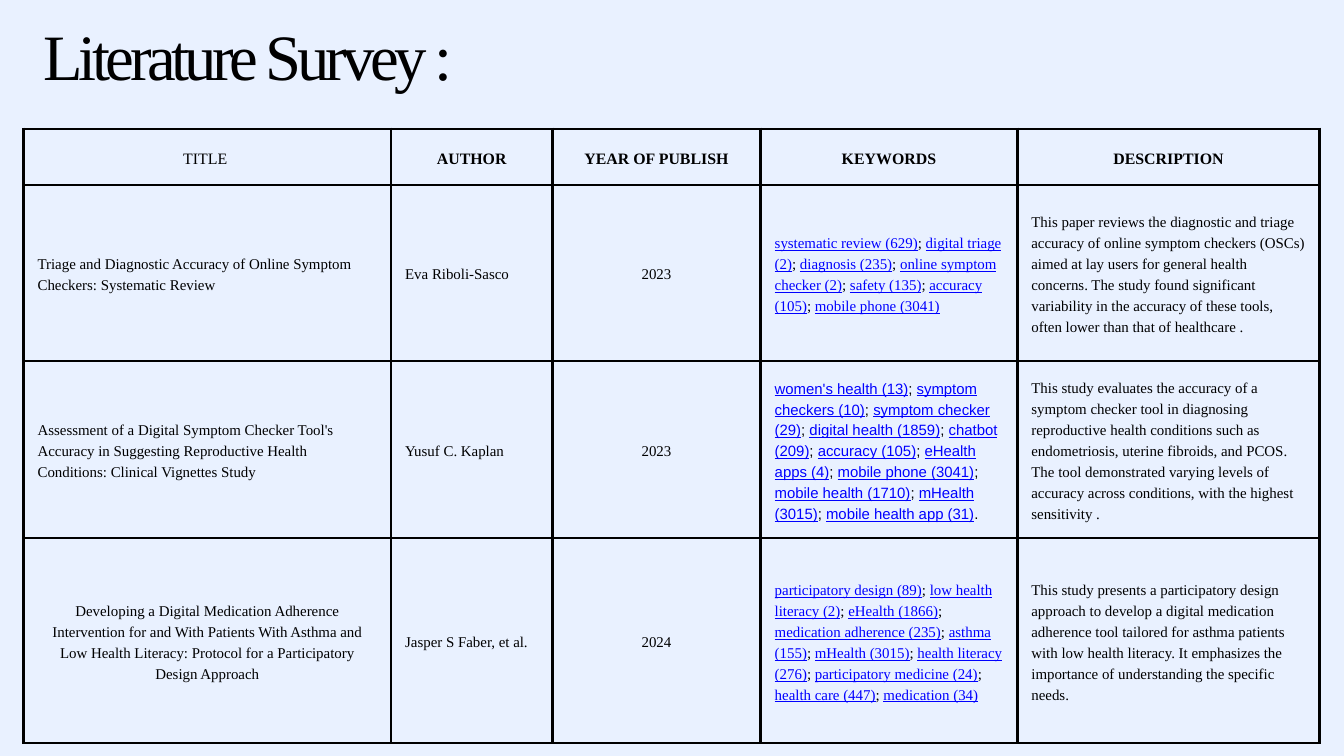
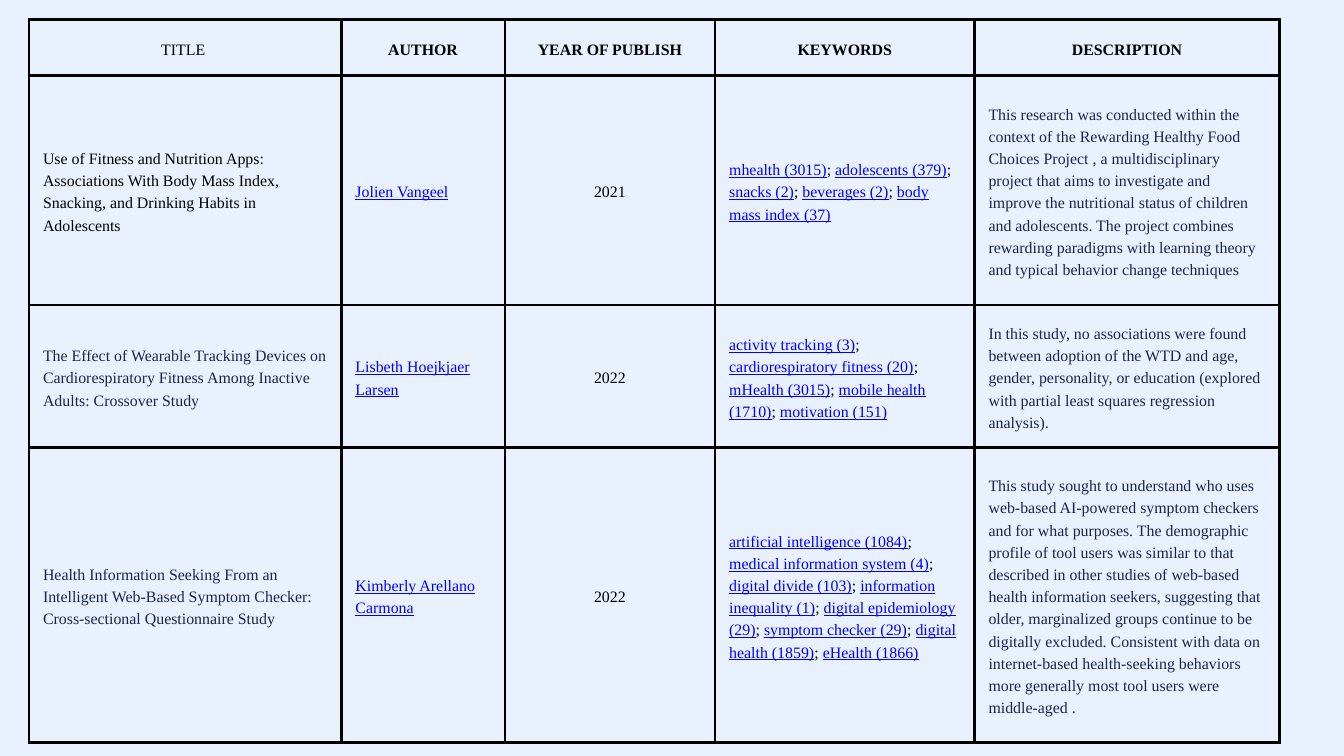
"""Builds two literature survey slides, each holding a ruled table of papers."""
from lxml.etree import SubElement
from pptx import Presentation
from pptx.dml.color import RGBColor
from pptx.enum.text import MSO_ANCHOR as Anchor, MSO_AUTO_SIZE as AutoSize, PP_ALIGN as Align
from pptx.oxml.ns import qn
from pptx.util import Pt

PALE_BLUE = RGBColor(0xE9, 0xF1, 0xFF)
BLACK = RGBColor(0x00, 0x00, 0x00)
LINK_BLUE = RGBColor(0x00, 0x00, 0xFF)
NAVY = RGBColor(0x1A, 0x25, 0x4C)

SERIF = "Times New Roman"
LINE_RATIO = 1.4
HEADER_SIZE = 17
CELL_INSET = 15.1
BORDER_WIDTH = 3
MARGINS = ("margin_left", "margin_top", "margin_right", "margin_bottom")
HEADINGS = ("TITLE ", "AUTHOR", "YEAR OF PUBLISH", "KEYWORDS", "DESCRIPTION")
TITLE, AUTHOR, YEAR, KEYWORDS, DESCRIPTION = range(5)

CHECKER_PAPERS = [
    (
        "Triage and Diagnostic Accuracy of Online Symptom Checkers: Systematic Review",
        "Eva Riboli-Sasco",
        "2023",
        "systematic review (629); digital triage (2); diagnosis (235); "
        "online symptom checker (2); safety (135); accuracy (105); mobile phone (3041)",
        "This paper reviews the diagnostic and triage accuracy of online symptom checkers "
        "(OSCs) aimed at lay users for general health concerns. The study found significant "
        "variability in the accuracy of these tools, often lower than that of healthcare .",
    ),
    (
        "Assessment of a Digital Symptom Checker Tool's Accuracy in Suggesting "
        "Reproductive Health Conditions: Clinical Vignettes Study",
        "Yusuf C. Kaplan",
        "2023",
        "women's health (13); symptom checkers (10); symptom checker (29); "
        "digital health (1859); chatbot (209); accuracy (105); eHealth apps (4); "
        "mobile phone (3041); mobile health (1710); mHealth (3015); mobile health app (31).",
        "This study evaluates the accuracy of a symptom checker tool in diagnosing "
        "reproductive health conditions such as endometriosis, uterine fibroids, and PCOS. "
        "The tool demonstrated varying levels of accuracy across conditions, with the "
        "highest sensitivity .",
    ),
    (
        "Developing a Digital Medication Adherence Intervention for and With Patients With "
        "Asthma and Low Health Literacy: Protocol for a Participatory Design Approach",
        "Jasper S Faber, et al.",
        "2024",
        "participatory design (89); low health literacy (2); eHealth (1866); "
        "medication adherence (235); asthma (155); mHealth (3015); health literacy (276); "
        "participatory medicine (24); health care (447); medication (34)",
        "This study presents a participatory design approach to develop a digital medication "
        "adherence tool tailored for asthma patients with low health literacy. It emphasizes "
        "the importance of understanding the specific needs.",
    ),
]

LIFESTYLE_PAPERS = [
    (
        "Use of Fitness and Nutrition Apps: Associations With Body Mass Index, Snacking, "
        "and Drinking Habits in Adolescents",
        "Jolien Vangeel",
        "2021",
        "mhealth (3015); adolescents (379); snacks (2); beverages (2); body mass index (37)",
        "This research was conducted within the context of the Rewarding Healthy Food Choices "
        "Project , a multidisciplinary project that aims to investigate and improve the "
        "nutritional status of children and adolescents. The project combines rewarding "
        "paradigms with learning theory and typical behavior change techniques",
    ),
    (
        "The Effect of Wearable Tracking Devices on Cardiorespiratory Fitness Among "
        "Inactive Adults: Crossover Study",
        "Lisbeth Hoejkjaer Larsen",
        "2022",
        "activity tracking (3); cardiorespiratory fitness (20); mHealth (3015); "
        "mobile health (1710); motivation (151)",
        "In this study, no associations were found between adoption of the WTD and age, "
        "gender, personality, or education (explored with partial least squares regression "
        "analysis).",
    ),
    (
        "Health Information Seeking From an Intelligent Web-Based Symptom Checker: "
        "Cross-sectional Questionnaire Study",
        "Kimberly Arellano Carmona",
        "2022",
        "artificial intelligence (1084); medical information system (4); "
        "digital divide (103); information inequality (1); digital epidemiology (29); "
        "symptom checker (29); digital health (1859); eHealth (1866)",
        "This study sought to understand who uses web-based AI-powered symptom checkers and "
        "for what purposes. The demographic profile of tool users was similar to that "
        "described in other studies of web-based health information seekers, suggesting that "
        "older, marginalized groups continue to be digitally excluded. Consistent with data "
        "on internet-based health-seeking behaviors more generally most tool users were "
        "middle-aged .",
    ),
]


def add_span(para, text, color=BLACK, **formats):
    """Add a run of text with the given colour and font formats."""
    span = para.add_run()
    span.text = text
    for name, value in formats.items():
        setattr(span.font, name, value)
    span.font.color.rgb = color
    return span


def add_links(para, text, **formats):
    """Write underlined entries parted by plain semicolons."""
    entries = text.rstrip(".").split("; ")
    for index, entry in enumerate(entries):
        if index:
            add_span(para, "; ", **formats)
        add_span(para, entry, **{**formats, "color": LINK_BLUE, "underline": True})
    if text.endswith("."):
        add_span(para, ".", **formats)


def rule_cell(cell):
    """Draw the border on all four sides of a cell."""
    properties = cell._tc.get_or_add_tcPr()
    for index, side in enumerate(("a:lnL", "a:lnR", "a:lnT", "a:lnB")):
        line = properties.makeelement(qn(side), {"w": str(Pt(BORDER_WIDTH))})
        fill = SubElement(line, qn("a:solidFill"))
        SubElement(fill, qn("a:srgbClr"), val=str(BLACK))
        properties.insert(index, line)


def fill_cell(cell, text, size, align=Align.LEFT, linked=False, name=SERIF, **formats):
    """Format one table cell and write its text."""
    cell.fill.background()
    rule_cell(cell)
    cell.vertical_anchor = Anchor.MIDDLE
    for margin in MARGINS:
        setattr(cell, margin, Pt(CELL_INSET))
    para = cell.text_frame.paragraphs[0]
    para.alignment = align
    para.line_spacing = Pt(size * LINE_RATIO)
    write = add_links if linked else add_span
    write(para, text, size=Pt(size), name=name, **formats)


def add_survey_table(page, corner, widths, heights, papers, size, linked, special):
    """Place a table of papers with its top left at the given corner."""
    left, top = corner
    table = page.shapes.add_table(
        len(heights), len(widths), Pt(left), Pt(top), Pt(sum(widths)), Pt(sum(heights))
    ).table
    table.first_row = table.horz_banding = False
    for column, width in zip(table.columns, widths):
        column.width = Pt(width)
    for row, height in zip(table.rows, heights):
        row.height = Pt(height)
    for column, heading in enumerate(HEADINGS):
        fill_cell(table.cell(0, column), heading, HEADER_SIZE, Align.CENTER, bold=column != TITLE)
    for row, paper in enumerate(papers, start=1):
        for column, text in enumerate(paper):
            formats = {
                "align": Align.CENTER if column == YEAR else Align.LEFT,
                "linked": column in linked,
                **special.get((row, column), {}),
            }
            fill_cell(table.cell(row, column), text, size, **formats)


def add_heading(page, box, text, size):
    """Place the large slide heading in the given box."""
    frame = page.shapes.add_textbox(*map(Pt, box)).text_frame
    for margin in MARGINS:
        setattr(frame, margin, 0)
    frame.word_wrap = True
    frame.auto_size = AutoSize.SHAPE_TO_FIT_TEXT
    para = frame.paragraphs[0]
    para.alignment = Align.CENTER
    para.line_spacing = Pt(size * LINE_RATIO)
    span = add_span(para, text, size=Pt(size), name=SERIF)
    span._r.get_or_add_rPr().set("spc", "-480")


def add_page(deck):
    """Add a blank slide on the shared background."""
    page = deck.slides.add_slide(deck.slide_layouts[6])
    page.background.fill.solid()
    page.background.fill.fore_color.rgb = PALE_BLUE
    return page


def add_checker_page(deck):
    """Build the opening slide on symptom checkers."""
    page = add_page(deck)
    special = {
        (2, KEYWORDS): {"name": "Arial"},
        (3, TITLE): {"align": Align.CENTER},
    }
    add_survey_table(
        page, (25.2, 138.2), (393.8, 172.8, 223.2, 275, 324), (59.8, 188.6, 190.1, 219.6),
        CHECKER_PAPERS, 16, {KEYWORDS}, special,
    )
    add_heading(page, (33.8, 3.6, 463.7, 103.7), "Literature Survey :", 69.3)


def add_lifestyle_page(deck):
    """Build the slide that continues the survey."""
    navy_cells = [(1, DESCRIPTION), (2, TITLE), (2, DESCRIPTION), (3, TITLE), (3, DESCRIPTION)]
    add_survey_table(
        add_page(deck), (31, 20.9), (334.8, 175, 225.4, 277.9, 326.9), (59.8, 246.2, 152.6, 316.1),
        LIFESTYLE_PAPERS, 17, {AUTHOR, KEYWORDS}, dict.fromkeys(navy_cells, {"color": NAVY}),
    )


def main():
    """Build and save the deck."""
    deck = Presentation()
    deck.slide_width, deck.slide_height = Pt(1440), Pt(810)
    add_checker_page(deck)
    add_lifestyle_page(deck)
    deck.save("out.pptx")


if __name__ == "__main__":
    main()
